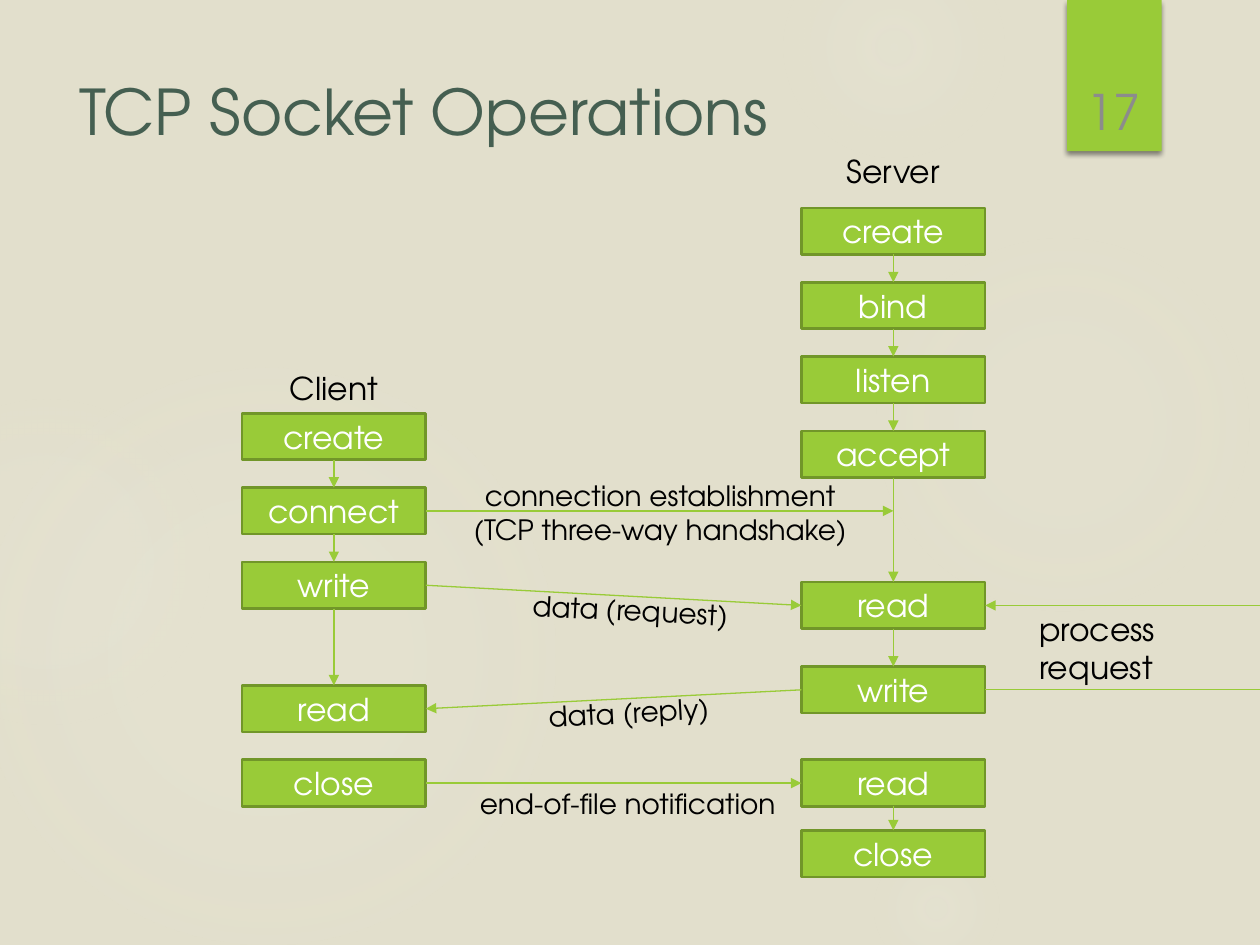
from pptx import Presentation
from pptx.dml.color import RGBColor
from pptx.enum.shapes import MSO_CONNECTOR, MSO_SHAPE
from pptx.enum.text import MSO_ANCHOR, MSO_AUTO_SIZE, PP_ALIGN
from pptx.oxml import parse_xml
from pptx.oxml.ns import nsdecls, qn
from pptx.util import Inches, Pt

STRAIGHT = MSO_CONNECTOR.STRAIGHT
RECTANGLE, OVAL = MSO_SHAPE.RECTANGLE, MSO_SHAPE.OVAL
LEFT, CENTER = PP_ALIGN.LEFT, PP_ALIGN.CENTER
TOP, MIDDLE, BOTTOM = MSO_ANCHOR.TOP, MSO_ANCHOR.MIDDLE, MSO_ANCHOR.BOTTOM
NO_FIT, GROW = MSO_AUTO_SIZE.NONE, MSO_AUTO_SIZE.SHAPE_TO_FIT_TEXT
SIDE_TOP, SIDE_LEFT, SIDE_BOTTOM, SIDE_RIGHT = range(4)

SAND = RGBColor(0xE2, 0xDF, 0xCC)
GLOW = RGBColor(0xF3, 0xF2, 0xEB)
LIME = RGBColor(0x99, 0xCB, 0x38)
MOSS = RGBColor(0x71, 0x96, 0x29)
PINE = RGBColor(0x45, 0x5F, 0x51)
GRAY = RGBColor(0x8C, 0x8C, 0x8C)
BLACK = RGBColor(0, 0, 0)
WHITE = RGBColor(0xFF, 0xFF, 0xFF)

FONT = "TeX Gyre Adventor"
SLIDE_WIDTH, SLIDE_HEIGHT = 10, 7.5
BOX_WIDTH, BOX_HEIGHT = 1.46, 0.37
ROW_PITCH = 0.59
CLIENT_LEFT, CLIENT_TOP = 1.92, 3.28
SERVER_LEFT, SERVER_TOP = 6.36, 1.65

GLOWS = [
    (6.89, 1.83, 3.08, (7, 6), 69),
    (6.22, -0.5, 1.75, (14, 7), 73),
    (6.89, 6.67, 1.08, (14, 7), 66),
    (-0.17, 2.92, 4.58, (11, 10), 75),
    (-0.92, 3.17, 2.58, (8, 8), 72),
]
CLIENT_STEPS = [
    ("create", CLIENT_TOP),
    ("connect", CLIENT_TOP + ROW_PITCH),
    ("write", CLIENT_TOP + 2 * ROW_PITCH),
    ("read", 5.44),
    ("close", 5.44 + ROW_PITCH),
]
SERVER_STEPS = [
    ("create", SERVER_TOP),
    ("bind", SERVER_TOP + ROW_PITCH),
    ("listen", SERVER_TOP + 2 * ROW_PITCH),
    ("accept", SERVER_TOP + 3 * ROW_PITCH),
    ("read", 4.62),
    ("write", 5.29),
    ("read", 6.03),
    ("close", 6.59),
]
LABELS = [
    ("Client", (2.2, 2.88, 0.91, 0.4), {}),
    ("Server", (6.62, 1.16, 0.95, 0.4), {}),
    ("process\nrequest", (8.15, 4.79, 1.14, 0.71), {}),
    ("connection establishment\n(TCP three-way handshake)",
     (3.58, 3.75, 3.32, 0.64), {"size": 16, "align": CENTER}),
    ("data (request)", (4.13, 4.66, 1.77, 0.37), {"size": 16, "turn": 2.9}),
    ("data (reply)", (4.26, 5.47, 1.5, 0.37), {"size": 16, "turn": 356.9}),
    ("end-of-file notification", (3.71, 6.19, 2.6, 0.37), {"size": 16}),
]


def write_text(frame, text, size=18, color=BLACK, align=LEFT, anchor=TOP,
               wrap=True, fit=NO_FIT):
    frame.word_wrap = wrap
    frame.auto_size = fit
    frame.vertical_anchor = anchor
    for index, line in enumerate(text.split("\n")):
        para = frame.paragraphs[0] if index == 0 else frame.add_paragraph()
        para.alignment = align
        span = para.add_run()
        span.text = line
        span.font.size = Pt(size)
        span.font.name = FONT
        span.font.color.rgb = color


def add_label(page, text, area, turn=0, wrap=False, fit=GROW, **text_format):
    box = page.shapes.add_textbox(*map(Inches, area))
    box.rotation = turn
    write_text(box.text_frame, text, wrap=wrap, fit=fit, **text_format)


def add_plain_shape(page, kind, area):
    shape = page.shapes.add_shape(kind, *map(Inches, area))
    shape.shadow.inherit = False
    shape.line.fill.background()
    return shape


def add_glow(page, left, top, size, alphas, fade):
    circle = add_plain_shape(page, OVAL, (left, top, size, size))
    stops = "".join(
        f'<a:gs pos="{place * 1000}"><a:srgbClr val="{GLOW}">'
        f'<a:alpha val="{alpha * 1000}"/></a:srgbClr></a:gs>'
        for place, alpha in zip((0, 36, fade), (*alphas, 0)))
    gradient = parse_xml(
        f'<a:gradFill {nsdecls("a")} rotWithShape="1"><a:gsLst>{stops}</a:gsLst>'
        '<a:path path="circle"><a:fillToRect l="50000" t="50000" r="50000" '
        'b="50000"/></a:path></a:gradFill>')
    circle._element.spPr.find(qn("a:prstGeom")).addnext(gradient)


def add_ribbon(page):
    ribbon = add_plain_shape(page, RECTANGLE, (8.47, 0, 0.75, 1.2))
    ribbon.fill.solid()
    ribbon.fill.fore_color.rgb = LIME
    ribbon._element.spPr.find(qn("a:effectLst")).append(parse_xml(
        f'<a:outerShdw {nsdecls("a")} blurRad="{Pt(3)}" dist="{Pt(2)}" '
        'dir="5400000" rotWithShape="0"><a:srgbClr val="000000">'
        '<a:alpha val="45000"/></a:srgbClr></a:outerShdw>'))


def add_step(page, name, left, top):
    step = add_plain_shape(page, RECTANGLE, (left, top, BOX_WIDTH, BOX_HEIGHT))
    step.fill.solid()
    step.fill.fore_color.rgb = LIME
    step.line.color.rgb = MOSS
    step.line.width = Pt(1.5)
    write_text(step.text_frame, name, color=WHITE, align=CENTER, anchor=MIDDLE)
    return step


def side_point(step, side):
    across = {SIDE_LEFT: 0, SIDE_RIGHT: 2}.get(side, 1)
    down = {SIDE_TOP: 0, SIDE_BOTTOM: 2}.get(side, 1)
    return step.left + step.width * across // 2, step.top + step.height * down // 2


def add_link(page, start, end, start_side=None, end_side=None, head=True):
    begin = start if start_side is None else side_point(start, start_side)
    finish = end if end_side is None else side_point(end, end_side)
    link = page.shapes.add_connector(STRAIGHT, *begin, *finish)
    if start_side is not None:
        link.begin_connect(start, start_side)
    if end_side is not None:
        link.end_connect(end, end_side)
    link.line.color.rgb = LIME
    link.line.width = Pt(0.75)
    if head:
        link.line._get_or_add_ln().append(
            parse_xml(f'<a:tailEnd {nsdecls("a")} type="triangle"/>'))
    link._element.spPr.append(parse_xml(f'<a:effectLst {nsdecls("a")}/>'))


def add_title(page):
    title = page.shapes.title
    title.left, title.top, title.width, title.height = map(
        Inches, (0.53, 0.5, 7.72, 0.75))
    write_text(title.text_frame, "TCP Socket Operations", size=36, color=PINE,
               anchor=MIDDLE)


def add_flow(page):
    client = [add_step(page, name, CLIENT_LEFT, top) for name, top in CLIENT_STEPS]
    server = [add_step(page, name, SERVER_LEFT, top) for name, top in SERVER_STEPS]
    for steps, starts in ((client, (0, 1, 2)), (server, (0, 1, 2, 3, 4, 6))):
        for index in starts:
            add_link(page, steps[index], steps[index + 1], SIDE_BOTTOM, SIDE_TOP)

    connect, client_write, client_read, client_close = client[1:]
    server_read, server_write, final_read = server[4:7]
    handshake = (side_point(server_read, SIDE_TOP)[0],
                 side_point(connect, SIDE_RIGHT)[1])
    add_link(page, connect, handshake, SIDE_RIGHT)
    add_link(page, client_write, server_read, SIDE_RIGHT, SIDE_LEFT)
    add_link(page, server_write, client_read, SIDE_LEFT, SIDE_RIGHT)
    add_link(page, client_close, final_read, SIDE_RIGHT, SIDE_LEFT)

    edge = Inches(SLIDE_WIDTH)
    leave = (edge, side_point(server_write, SIDE_RIGHT)[1])
    enter = (edge, side_point(server_read, SIDE_RIGHT)[1])
    add_link(page, server_write, leave, SIDE_RIGHT, head=False)
    add_link(page, enter, server_read, end_side=SIDE_RIGHT)


def main():
    deck = Presentation()
    deck.slide_width, deck.slide_height = Inches(SLIDE_WIDTH), Inches(SLIDE_HEIGHT)
    page = deck.slides.add_slide(deck.slide_layouts[5])
    page.background.fill.solid()
    page.background.fill.fore_color.rgb = SAND
    for glow in GLOWS:
        add_glow(page, *glow)
    add_ribbon(page)
    add_title(page)
    add_label(page, "17", (8.49, 0.32, 0.69, 0.84), size=28, color=GRAY,
              align=CENTER, anchor=BOTTOM, wrap=True, fit=NO_FIT)
    add_flow(page)
    for text, area, text_format in LABELS:
        add_label(page, text, area, **text_format)
    deck.save("out.pptx")


if __name__ == "__main__":
    main()
